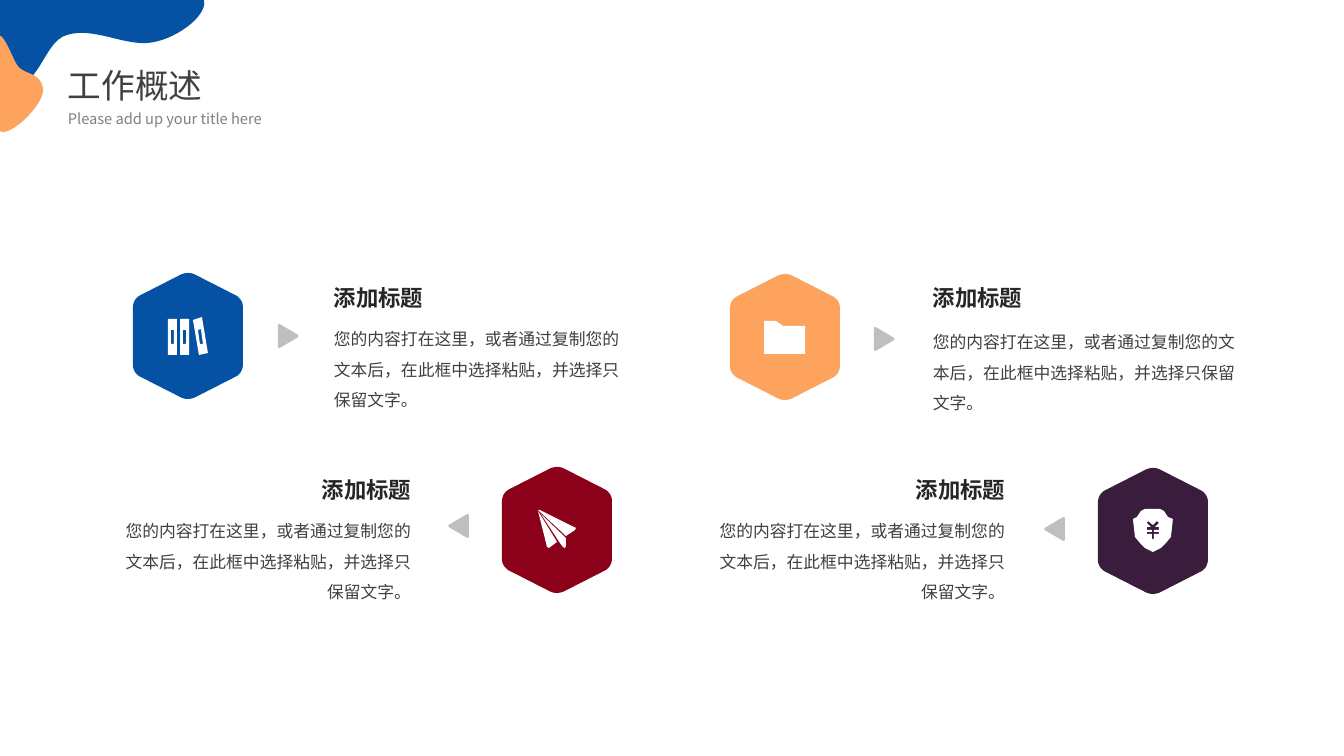
from dataclasses import dataclass
from math import hypot

from lxml.etree import SubElement
from pptx import Presentation
from pptx.dml.color import RGBColor
from pptx.enum.text import MSO_AUTO_SIZE, PP_ALIGN
from pptx.oxml.ns import qn
from pptx.util import Emu, Pt

SCALE = 12192000 / 1344


@dataclass(frozen=True)
class Theme:
    font: str = "Noto Sans CJK SC"
    blue: str = "0552A5"
    orange: str = "FDA35D"
    red: str = "8C011A"
    purple: str = "3A1D3D"
    white: str = "FFFFFF"
    arrow: str = "BFBFBF"
    strong: str = "262626"
    normal: str = "404040"
    muted: str = "808080"
    heading_size: float = 24
    subtitle_size: float = 10.5
    title_size: float = 16
    body_size: float = 12


THEME = Theme()
TITLE = "添加标题"
BODY = "您的内容打在这里，或者通过复制您的文本后，在此框中选择粘贴，并选择只保留文字。"
HEXAGON_SIZE = (110, 126)
HEXAGON = [(55, -2), (110, 26), (110, 100), (55, 128), (0, 100), (0, 26)]
ARROW_RIGHT = [(0, -1), (22, 12), (0, 25)]
ARROW_LEFT = [(20, -1), (-2, 12), (20, 25)]
BLUE_BLOB = [(0, 0), (204, 0), (208, 17, 173, 41, 148, 43),
             (122, 45, 93, 27, 67, 35), (42, 42, 42, 91, 0, 92)]
ORANGE_BLOB = [(0, 36), (1, 36), (10, 45, 14, 65, 21, 69),
               (30, 75, 40, 74, 43, 88), (46, 101, 16, 133, 2, 132), (0, 131)]


def rectangle(left, top, right, bottom):
    return [(left, top), (right, top), (right, bottom), (left, bottom)]


BOOKS = [[rectangle(x, 46, x + 9, 82), rectangle(x + 3, 57, x + 6, 71)] for x in (35, 47)] + [
    [[(69, 44), (60, 47), (66, 82), (75, 80)], [(65, 57), (68, 56), (70, 71), (67, 71)]]]
FOLDER = [[[(53, 52), (46, 47), (34, 47), (34, 80), (75, 80), (75, 52)]]]
PLANE = [
    [[(64, 69), (73, 63), (74, 61), (72, 60), (38, 43), (36, 43)]],
    [[(58, 76), (61, 80), (63, 81), (64, 79), (64, 71), (39, 47)]],
    [[(36, 44), (45, 80), (47, 81), (55, 75)]]]
SHIELD = [[
    [(62, 41), (47, 41), (43, 43), (39, 49), (35, 51), (37, 69), (42, 75), (47, 80), (55, 84),
     (63, 80), (68, 75), (73, 69), (75, 51), (70, 49), (66, 43)],
    [(61, 59), (61, 62), (56, 62), (56, 64), (61, 64), (61, 66), (56, 66), (56, 71), (54, 71),
     (54, 66), (49, 66), (49, 64), (54, 64), (54, 62), (49, 62), (49, 59), (53, 59), (49, 55),
     (50, 53), (55, 57), (59, 53), (61, 55), (57, 59)]]]


@dataclass(frozen=True)
class Card:
    box: tuple
    hexagon_first: bool
    body_width: int
    arrow_left: int
    arrow_top: int
    title_top: int
    body_top: int
    color: str
    icon: list


CARDS = [
    Card((133, 273, 505, 143), True, 314, 145, 51, 6, 41, THEME.blue, BOOKS),
    Card((99, 467, 513, 141), False, 322, 350, 47, 4, 39, THEME.red, PLANE),
    Card((695, 468, 513, 140), False, 320, 350, 49, 3, 38, THEME.purple, SHIELD),
    Card((730, 274, 517, 144), True, 324, 144, 53, 5, 43, THEME.orange, FOLDER),
]


def px(length):
    return Emu(round(length * SCALE))


def apply(target, values):
    for name, value in values.items():
        setattr(target, name, value)


def flatten(outline, steps=16):
    points = [outline[0]]
    for segment in outline[1:]:
        if len(segment) == 2:
            points.append(segment)
            continue
        controls = [points[-1], segment[:2], segment[2:4], segment[4:]]
        for step in range(1, steps + 1):
            t = step / steps
            weights = ((1 - t) ** 3, 3 * t * (1 - t) ** 2, 3 * t * t * (1 - t), t ** 3)
            points.append(tuple(sum(w * c[axis] for w, c in zip(weights, controls))
                                for axis in (0, 1)))
    return points


def rounded(corners, cut):
    outline = []
    for index, corner in enumerate(corners):
        ends = []
        for neighbor in (corners[index - 1], corners[(index + 1) % len(corners)]):
            share = cut / hypot(neighbor[0] - corner[0], neighbor[1] - corner[1])
            ends.append(tuple(c + (n - c) * share for c, n in zip(corner, neighbor)))
        outline += [ends[0], (*ends[0], *corner, *ends[1])]
    return outline


def add_outline(page, left, top, contours, color):
    builder = None
    for contour in contours:
        points = [(px(left + x), px(top + y)) for x, y in flatten(contour)]
        if builder is None:
            builder = page.shapes.build_freeform(*points[0])
        else:
            builder.move_to(*points[0])
        builder.add_line_segments(points[1:], close=True)
    shape = builder.convert_to_shape()
    shape.shadow.inherit = False
    shape.fill.solid()
    shape.fill.fore_color.rgb = RGBColor.from_string(color)
    shape.line.fill.background()


def add_text(page, box, text, size, color, bold=False, **para_format):
    frame = page.shapes.add_textbox(*map(px, box)).text_frame
    apply(frame, {"word_wrap": True, "auto_size": MSO_AUTO_SIZE.SHAPE_TO_FIT_TEXT})
    para = frame.paragraphs[0]
    apply(para, para_format)
    span = para.add_run()
    span.text = text
    apply(span.font, {"name": THEME.font, "size": Pt(size), "bold": bold})
    span.font.color.rgb = RGBColor.from_string(color)
    SubElement(span.font._element, qn("a:ea"), typeface=THEME.font)


def add_card(page, card):
    left, top, width, height = card.box
    hexagon_left = left if card.hexagon_first else left + width - HEXAGON_SIZE[0]
    text_left = left + width - card.body_width if card.hexagon_first else left
    align = PP_ALIGN.LEFT if card.hexagon_first else PP_ALIGN.RIGHT
    arrow = ARROW_RIGHT if card.hexagon_first else ARROW_LEFT
    add_outline(page, hexagon_left, top, [rounded(HEXAGON, 8)], card.color)
    for contours in card.icon:
        add_outline(page, hexagon_left, top, contours, THEME.white)
    add_outline(page, left + card.arrow_left, top + card.arrow_top, [rounded(arrow, 3)], THEME.arrow)
    add_text(page, (text_left, top + card.title_top, card.body_width, 37), TITLE,
             THEME.title_size, THEME.strong, bold=True, alignment=align)
    add_text(page, (text_left, top + card.body_top, card.body_width, height - card.body_top), BODY,
             THEME.body_size, THEME.normal, alignment=align, line_spacing=1.5)


def add_header(page, box):
    left, top, width, height = box
    add_text(page, (left + 58, top + 60, width - 58, 50), "工作概述",
             THEME.heading_size, THEME.normal)
    add_text(page, (left + 58, top + 101, width - 58, height - 101), "Please add up your title here",
             THEME.subtitle_size, THEME.muted, line_spacing=1.2)
    add_outline(page, left, top, [BLUE_BLOB], THEME.blue)
    add_outline(page, left, top, [ORANGE_BLOB], THEME.orange)


def main():
    deck = Presentation()
    apply(deck, {"slide_width": px(1344), "slide_height": px(756)})
    page = deck.slides.add_slide(deck.slide_layouts[6])
    for card in CARDS:
        add_card(page, card)
    add_header(page, (0, 0, 309, 132))
    deck.save("out.pptx")


if __name__ == "__main__":
    main()
